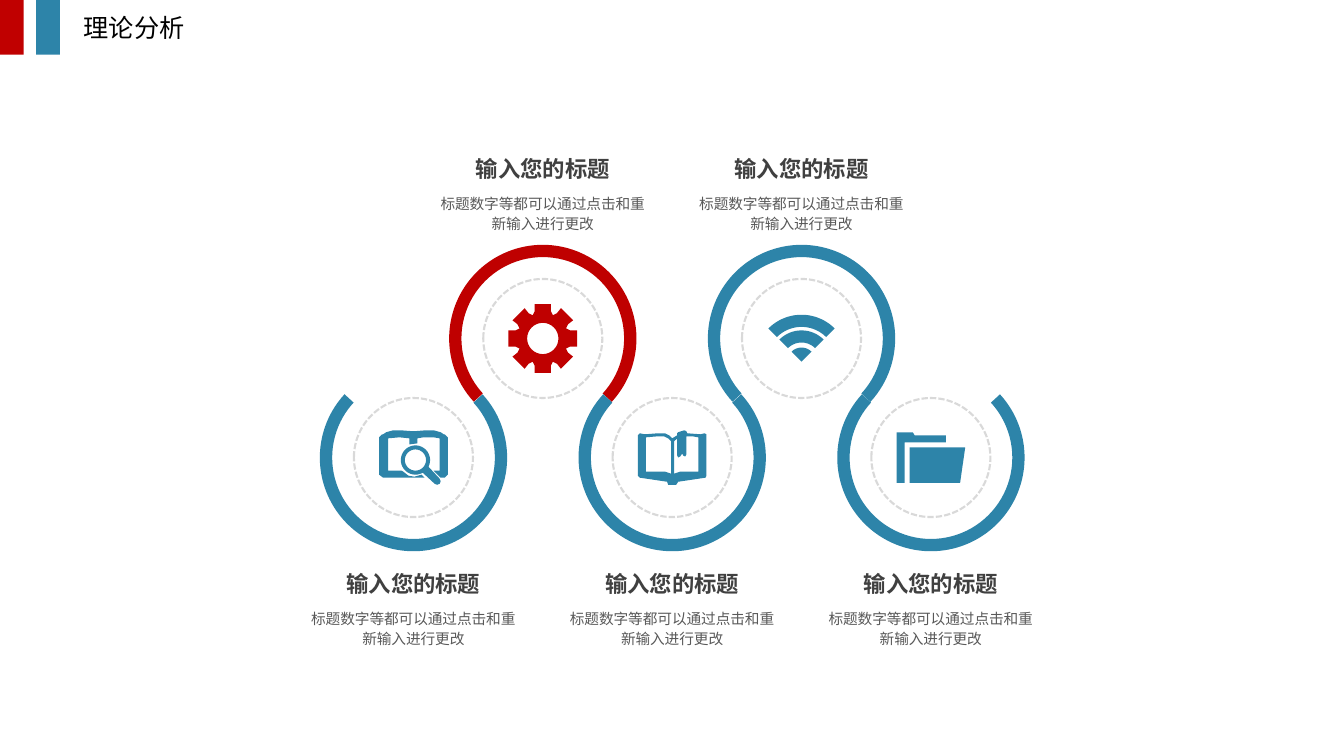
from dataclasses import dataclass
from math import cos, radians, sin

from lxml.etree import SubElement
from pptx import Presentation
from pptx.dml.color import RGBColor
from pptx.enum.dml import MSO_LINE_DASH_STYLE as Dash
from pptx.enum.shapes import MSO_SHAPE as Preset
from pptx.enum.text import MSO_AUTO_SIZE as AutoSize, PP_ALIGN as Align
from pptx.oxml.ns import qn
from pptx.util import Cm, Pt

Point = tuple[float, float]
Contour = list[Point]

BLUE = RGBColor(0x2D, 0x84, 0xA9)
RED = RGBColor(0xBF, 0x00, 0x00)
HEADER_RED = RGBColor(0xC0, 0x00, 0x00)
DASH_GREY = RGBColor(0xD9, 0xD9, 0xD9)
TITLE_GREY = RGBColor(0x40, 0x40, 0x40)
BODY_GREY = RGBColor(0x59, 0x59, 0x59)
BLACK = RGBColor(0x00, 0x00, 0x00)

FONT = "Noto Sans CJK SC"
STEP_TITLE = "输入您的标题"
STEP_BODY = "标题数字等都可以通过点击和重新输入进行更改"

# Lengths in centimetres
FIRST_X, STEP_X = 10.42, 3.26
UPPER_Y, LOWER_Y = 8.53, 11.53
UPPER_TITLE_Y, LOWER_TITLE_Y = 3.78, 14.25
RING, RING_WIDTH, DASHED_CIRCLE = 4.72, 0.31, 3.0
CAPTION_WIDTH, TITLE_HEIGHT, BODY_HEIGHT = 5.92, 0.94, 1.27
ICON_UNIT = 1.73 / 68  # every icon is 68 units wide, centred on (0, 0)


def arc(x: float, y: float, radius: float, start: float, end: float) -> Contour:
    steps = 32
    angles = [radians(start + (end - start) * i / steps) for i in range(steps + 1)]
    return [(x + radius * cos(a), y + radius * sin(a)) for a in angles]


def wifi_band(outer: float, inner: float) -> Contour:
    return arc(0, 23, outer, 225, 315) + arc(0, 23, inner, 315, 225)


def gear_outline() -> Contour:
    quarter = [(8, -34), (8, -27), (10, -23), (14, -25), (18, -30),
               (30, -18), (25, -14), (23, -10), (27, -8), (34, -8)]
    outline: Contour = []
    for _ in range(4):
        outline += quarter
        quarter = [(-y, x) for x, y in quarter]
    return outline


# Icons
WIFI = [wifi_band(46.5, 34.5), wifi_band(31, 19), arc(0, 23, 14, 225, 315) + [(0, 23)]]
GEAR = [gear_outline(), arc(0, 0, 15.5, 0, 360)]
FOLDER = [
    [(-21, -10), (34, -10), (29, 25), (-21, 25)],
    [(-34, -25), (-18, -25), (-16, -22), (15, -22), (15, -15), (-26, -15),
     (-26, 25), (-34, 25)],
]
OPEN_BOOK = [
    [(34, -23), (32, -24), (28, -23), (15, -24), (14, -26), (12, -27), (6, -25),
     (5, -24), (5, -22), (0, -19), (-3, -22), (-7, -24), (-14, -24), (-27, -23),
     (-32, -24), (-34, -22), (-34, 18), (-32, 20), (-5, 24), (-4, 27), (4, 27),
     (6, 24), (33, 20), (34, 18)],
    [(5, -19), (5, -2), (6, 0), (8, -1), (10, -4), (11, -2), (13, -1), (14, -3),
     (14, -21), (20, -21), (26, -20), (26, 14), (14, 14), (8, 14), (2, 16), (2, -16)],
    [(-8, -21), (-4, -19), (-1, -16), (-1, 16), (-7, 14), (-14, 14), (-26, 14),
     (-26, -20), (-14, -21)],
]
SEARCH_BOOK = [
    arc(2, 2.5, 10.5, 0, 360),
    arc(2, 2.5, 14.5, 60, 387) + [(26, 21), (27, 23.5), (26, 26), (23.5, 27), (21, 26)],
    [(-13, -27), (0, -26), (13, -27), (20, -27), (27, -25), (30, -23), (31, -23),
     (34, -20), (34, 17), (31, 20), (27, 20), (20, 13), (26, 13), (26, -19),
     (20, -20), (10, -20), (4, -19), (4, -14), (-4, -13), (-4, -19), (-14, -20),
     (-25, -19), (-25, 13), (-12, 13), (-10, 14), (-5, 18), (1, 19), (8, 17),
     (11, 20), (-30, 20), (-34, 17), (-34, -20), (-31, -23), (-30, -23),
     (-27, -25), (-20, -27)],
]


@dataclass
class Step:
    icon: list[Contour]
    upper: bool = False
    color: RGBColor = BLUE


@dataclass
class TextStyle:
    size: float
    color: RGBColor
    bold: bool = False
    align: Align = Align.CENTER
    spacing: float = 1.0


STEPS = [Step(SEARCH_BOOK), Step(GEAR, True, RED), Step(OPEN_BOOK),
         Step(WIFI, True), Step(FOLDER)]
HEADING = TextStyle(18, BLACK, align=Align.LEFT)
TITLE = TextStyle(16, TITLE_GREY, bold=True)
BODY = TextStyle(10.5, BODY_GREY, spacing=1.14)


def paint(shape, color: RGBColor) -> None:
    shape.shadow.inherit = False
    shape.fill.solid()
    shape.fill.fore_color.rgb = color
    shape.line.fill.background()


def add_round(shapes, preset: Preset, x: float, y: float, size: float):
    return shapes.add_shape(preset, Cm(x - size / 2), Cm(y - size / 2), Cm(size), Cm(size))


def add_ring(shapes, step: Step, x: float, y: float) -> None:
    ring = add_round(shapes, Preset.BLOCK_ARC, x, y, RING)
    ring.adjustments[0] = 82.5
    ring.adjustments[1] = 25.54
    ring.adjustments[2] = RING_WIDTH / RING
    ring.rotation = 0 if step.upper else 180
    paint(ring, step.color)


def add_dashed_circle(shapes, x: float, y: float) -> None:
    circle = add_round(shapes, Preset.OVAL, x, y, DASHED_CIRCLE)
    circle.shadow.inherit = False
    circle.fill.background()
    circle.line.color.rgb = DASH_GREY
    circle.line.width = Pt(1.5)
    circle.line.dash_style = Dash.SQUARE_DOT


def add_icon(shapes, step: Step, x: float, y: float) -> None:
    first, *others = [[(Cm(px * ICON_UNIT), Cm(py * ICON_UNIT)) for px, py in contour]
                      for contour in step.icon]
    builder = shapes.build_freeform(*first[0])
    builder.add_line_segments(first[1:], close=True)
    for contour in others:
        builder.move_to(*contour[0])
        builder.add_line_segments(contour[1:], close=True)
    paint(builder.convert_to_shape(Cm(x), Cm(y)), step.color)


def add_text(shapes, text: str, style: TextStyle, x: float, y: float,
             width: float, height: float) -> None:
    frame = shapes.add_textbox(Cm(x), Cm(y), Cm(width), Cm(height)).text_frame
    frame.word_wrap = True
    frame.auto_size = AutoSize.SHAPE_TO_FIT_TEXT
    frame.text = text
    paragraph = frame.paragraphs[0]
    paragraph.alignment = style.align
    paragraph.line_spacing = style.spacing
    font = paragraph.runs[0].font
    font.size = Pt(style.size)
    font.bold = style.bold
    font.color.rgb = style.color
    font.name = FONT
    SubElement(paragraph.runs[0]._r.get_or_add_rPr(), qn("a:ea"), typeface=FONT)


def add_caption(shapes, x: float, y: float) -> None:
    left = x - CAPTION_WIDTH / 2
    add_text(shapes, STEP_TITLE, TITLE, left, y, CAPTION_WIDTH, TITLE_HEIGHT)
    add_text(shapes, STEP_BODY, BODY, left, y + TITLE_HEIGHT, CAPTION_WIDTH, BODY_HEIGHT)


def main() -> None:
    deck = Presentation()
    deck.slide_width, deck.slide_height = Cm(33.87), Cm(19.05)
    shapes = deck.slides.add_slide(deck.slide_layouts[6]).shapes

    # Winding chain of steps
    for i, step in enumerate(STEPS):
        x = FIRST_X + i * STEP_X
        y = UPPER_Y if step.upper else LOWER_Y
        add_ring(shapes, step, x, y)
        add_dashed_circle(shapes, x, y)
        add_icon(shapes, step, x, y)
        add_caption(shapes, x, UPPER_TITLE_Y if step.upper else LOWER_TITLE_Y)

    # Header
    for left, color in ((0.91, BLUE), (0, HEADER_RED)):
        paint(shapes.add_shape(Preset.RECTANGLE, Cm(left), 0, Cm(0.6), Cm(1.38)), color)
    add_text(shapes, "理论分析", HEADING, 1.86, 0.18, 9.45, 1.02)

    deck.save("out.pptx")


if __name__ == "__main__":
    main()
